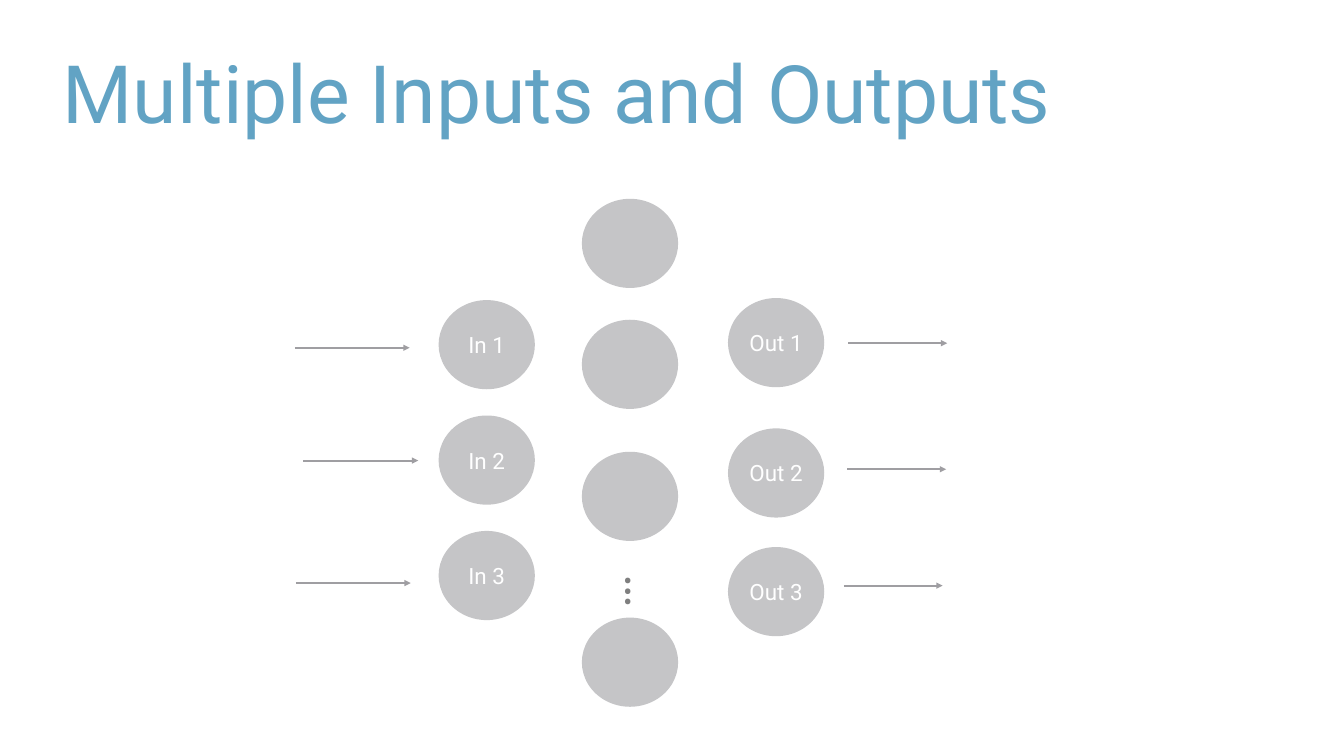
from lxml.etree import SubElement
from pptx import Presentation
from pptx.dml.color import RGBColor
from pptx.enum.shapes import MSO_CONNECTOR, MSO_SHAPE
from pptx.enum.text import MSO_ANCHOR, PP_ALIGN
from pptx.oxml.ns import qn
from pptx.util import Pt

BLUE = RGBColor(0x62, 0xA3, 0xC4)
NODE_GRAY = RGBColor(0xC5, 0xC5, 0xC7)
ARROW_GRAY = RGBColor(0x9F, 0x9E, 0xA2)
DOT_GRAY = RGBColor(0x7F, 0x7F, 0x7F)
WHITE = RGBColor(0xFF, 0xFF, 0xFF)
FONT = "Roboto"
NODE_W, NODE_H = 137.5, 127.4


def set_font(p, size, color):
    for r in p.runs:
        r.font.name = FONT
        r.font.size = Pt(size)
        r.font.color.rgb = color


def add_title(s, text, left, top, width, height):
    title = s.shapes.title
    title.left, title.top = Pt(left), Pt(top)
    title.width, title.height = Pt(width), Pt(height)
    tf = title.text_frame
    tf.text = text
    tf.word_wrap = True
    tf.vertical_anchor = MSO_ANCHOR.MIDDLE
    p = tf.paragraphs[0]
    p.alignment = PP_ALIGN.LEFT
    p.line_spacing = 0.9
    set_font(p, 115, BLUE)


def add_node(s, left, top, label=""):
    sp = s.shapes.add_shape(MSO_SHAPE.OVAL, Pt(left), Pt(top), Pt(NODE_W), Pt(NODE_H))
    sp.shadow.inherit = False
    sp.fill.solid()
    sp.fill.fore_color.rgb = NODE_GRAY
    sp.line.fill.background()
    if label:
        tf = sp.text_frame
        tf.text = label
        tf.vertical_anchor = MSO_ANCHOR.MIDDLE
        p = tf.paragraphs[0]
        p.alignment = PP_ALIGN.CENTER
        set_font(p, 32, WHITE)


def add_arrow(s, left, y, length):
    line = s.shapes.add_connector(
        MSO_CONNECTOR.STRAIGHT, Pt(left), Pt(y), Pt(left + length), Pt(y))
    line.line.color.rgb = ARROW_GRAY
    line.line.width = Pt(3)
    SubElement(line.line._get_or_add_ln(), qn("a:tailEnd"), type="triangle")
    SubElement(line._element.spPr, qn("a:effectLst"))


def add_ellipsis(s, left, top):
    """Add three dots turned to run downwards."""
    box = s.shapes.add_textbox(Pt(left), Pt(top), Pt(56.2), Pt(94.3))
    box.rotation = 90
    tf = box.text_frame
    tf.word_wrap = False
    tf.text = "…"
    set_font(tf.paragraphs[0], 72, DOT_GRAY)


def add_network(s, left, top):
    input_tops = [144.7 + 164.9 * i for i in range(3)]
    hidden_tops = [0, 172.8, 361.4, 598.3]
    output_tops = [141.8, 328, 497.5]
    input_arrows = [(0, 212.8), (12.4, 374), (1.6, 549)]
    output_arrows = [(790.8, 206.3), (789.3, 386.3), (784.3, 552.6)]

    for y in hidden_tops:
        add_node(s, left + 410, top + y)
    add_ellipsis(s, left + 472.5, top + 511)
    for name, x, tops in (("In", 205.4, input_tops), ("Out", 618.7, output_tops)):
        for i, y in enumerate(tops, 1):
            add_node(s, left + x, top + y, f"{name} {i}")
    for arrows, length in ((input_arrows, 164), (output_arrows, 141)):
        for x, y in arrows:
            add_arrow(s, left + x, top + y, length)


def main():
    prs = Presentation()
    prs.slide_width, prs.slide_height = Pt(1919.52), Pt(1080)
    s = prs.slides.add_slide(prs.slide_layouts[5])
    add_title(s, "Multiple Inputs and Outputs", 82, 35.3, 1754.6, 208.8)
    add_network(s, 421, 284)
    prs.save("out.pptx")


if __name__ == "__main__":
    main()
